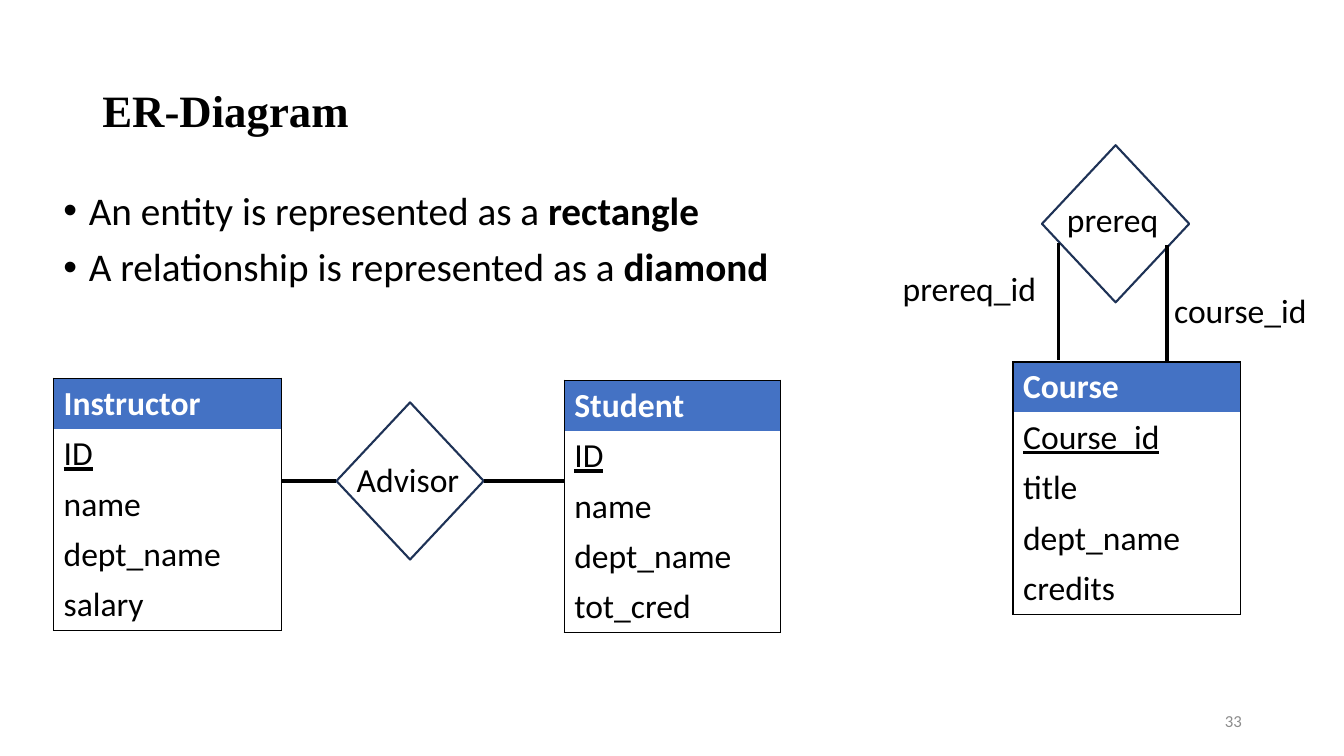
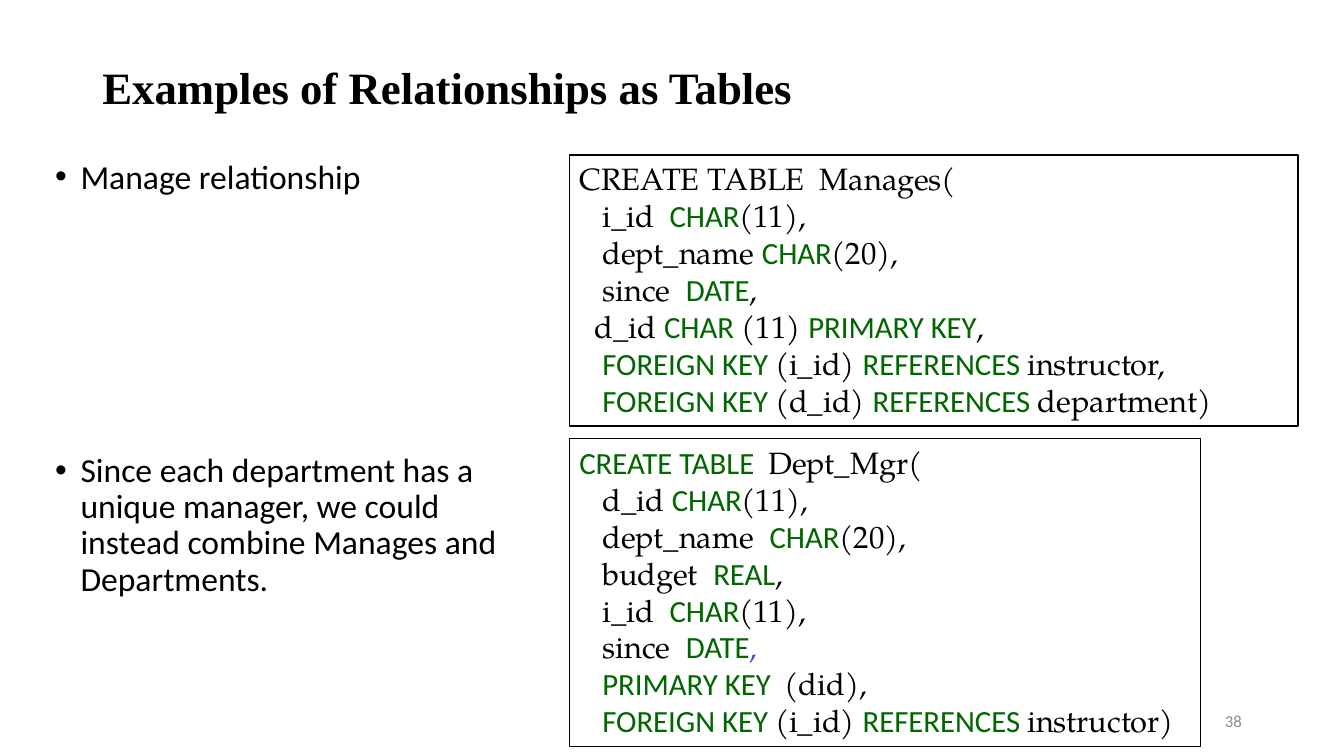
from dataclasses import dataclass

from lxml import etree
from pptx import Presentation
from pptx import util as u
from pptx.dml.color import RGBColor
from pptx.enum import shapes, text
from pptx.oxml import ns


@dataclass(frozen=True)
class Theme:
    black: str = "000000"
    white: str = "FFFFFF"
    header: str = "4472C4"
    diamond: str = "1E3256"
    keyword: str = "006600"
    accent: str = "434FD6"
    page: str = "8C8C8C"
    title_font: str = "Times New Roman"
    body_font: str = "Calibri"
    code_font: str = "TeX Gyre Pagella"
    title_size: int = 32
    large_size: int = 28
    body_size: int = 24
    code_size: int = 22
    page_size: int = 12
    thin: float = 1
    outline: float = 1.5
    link: float = 2.25


T = Theme()


@dataclass(frozen=True)
class Style:
    size: int = T.body_size
    font: str = T.body_font
    color: str = T.black
    bold: bool = False
    underline: bool = False


BODY = Style()
LARGE = Style(size=T.large_size)
STRONG = Style(size=T.large_size, bold=True)
TITLE = Style(T.title_size, T.title_font, bold=True)
PAGE = Style(T.page_size, color=T.page)
HEAD = Style(color=T.white, bold=True)
KEY = Style(underline=True)
CODE = Style(T.code_size, T.code_font)
KEYWORD = Style(T.code_size, color=T.keyword)
ACCENT = Style(T.code_size, T.code_font, T.accent)


def kw(words):
    return words, KEYWORD


def rgb(value):
    return RGBColor.from_string(value)


def add_run(p, words, style):
    r = p.add_run()
    r.text = words
    r.font.size = u.Pt(style.size)
    r.font.name = style.font
    r.font.color.rgb = rgb(style.color)
    r.font.bold = style.bold
    r.font.underline = style.underline


def add_bullet(p):
    pPr = p._p.get_or_add_pPr()
    pPr.set("marL", str(u.Cm(0.64)))
    pPr.set("indent", str(-u.Cm(0.64)))
    etree.SubElement(pPr, ns.qn("a:buFont"), typeface="Arial")
    etree.SubElement(pPr, ns.qn("a:buChar"), char="•")


def write(tf, paragraphs, style, bullets=False, spacing=None, align=text.PP_ALIGN.LEFT):
    tf.word_wrap = True
    for i, runs in enumerate(paragraphs):
        p = tf.add_paragraph() if i else tf.paragraphs[0]
        p.alignment = align
        if spacing:
            p.line_spacing = spacing
        if bullets:
            if i:
                p.space_before = u.Pt(10)
            add_bullet(p)
        for item in runs:
            words, run_style = (item, style) if isinstance(item, str) else item
            add_run(p, words, run_style)


def add_text(s, box, paragraphs, style, middle=False, **options):
    tf = s.shapes.add_textbox(*map(u.Cm, box)).text_frame
    if middle:
        tf.vertical_anchor = text.MSO_ANCHOR.MIDDLE
    write(tf, paragraphs, style, **options)


def add_label(s, x, y, words, width=4.17):
    add_text(s, (x, y, width, 1.27), [[words]], BODY)


def add_bullets(s, box, paragraphs, style=BODY):
    add_text(s, box, paragraphs, style, bullets=True, spacing=0.9)


def add_slide(prs, title, title_top, number):
    s = prs.slides.add_slide(prs.slide_layouts[6])
    add_text(s, (2.33, title_top, 29.21, 3.68), [[title]], TITLE, middle=True, spacing=0.9)
    add_text(s, (23.93, 17.65, 7.62, 1.02), [[str(number)]], PAGE,
             middle=True, align=text.PP_ALIGN.RIGHT)
    return s


def add_outlined(s, kind, box, color, width):
    sp = s.shapes.add_shape(kind, *map(u.Cm, box))
    sp.shadow.inherit = False
    sp.fill.background()
    sp.line.color.rgb = rgb(color)
    sp.line.width = u.Pt(width)
    return sp


def add_diamond(s, x, y):
    return add_outlined(s, shapes.MSO_SHAPE.DIAMOND, (x, y, 3.71, 3.96), T.diamond, T.outline)


def add_code(s, box, lines):
    sp = add_outlined(s, shapes.MSO_SHAPE.RECTANGLE, box, T.black, T.thin)
    sp.text_frame.vertical_anchor = text.MSO_ANCHOR.TOP
    write(sp.text_frame, lines, CODE)


def add_link(s, x1, y1, x2, y2):
    c = s.shapes.add_connector(shapes.MSO_CONNECTOR.STRAIGHT, *map(u.Cm, (x1, y1, x2, y2)))
    c.line.color.rgb = rgb(T.black)
    c.line.width = u.Pt(T.link)
    etree.SubElement(c._element.spPr, ns.qn("a:effectLst"))
    return c


def set_borders(cell, sides):
    tcPr = cell._tc.get_or_add_tcPr()
    for side in "LRTB":
        shown = side in sides
        ln = etree.SubElement(tcPr, ns.qn(f"a:ln{side}"), w=str(u.Pt(T.thin) if shown else 0))
        fill = etree.SubElement(ln, ns.qn("a:solidFill" if shown else "a:noFill"))
        if shown:
            etree.SubElement(fill, ns.qn("a:srgbClr"), val=T.black)


def add_entity(s, x, y, width, name, key, *fields):
    rows = [(name, HEAD), (key, KEY)] + [(field, BODY) for field in fields]
    size = map(u.Cm, (x, y, width, 1.27 * len(rows)))
    table = s.shapes.add_table(len(rows), 1, *size).table
    table.horz_banding = False
    for i, row in enumerate(rows):
        cell = table.cell(i, 0)
        set_borders(cell, "LR" + "T" * (i == 0) + "B" * (i == len(rows) - 1))
        if i:
            cell.fill.background()
        else:
            cell.fill.solid()
            cell.fill.fore_color.rgb = rgb(T.header)
        write(cell.text_frame, [[row]], BODY)


def build_diagram(prs):
    s = add_slide(prs, "ER-Diagram", 1.02, 33)
    add_bullets(s, (1.35, 4.7, 22, 4), [
        ["An entity is represented as a ", ("rectangle", STRONG)],
        ["A relationship is represented as a ", ("diamond", STRONG)],
    ], LARGE)

    add_entity(s, 14.22, 9.58, 5.44, "Student", "ID", "name", "dept_name", "tot_cred")
    add_entity(s, 1.35, 9.53, 5.74, "Instructor", "ID", "name", "dept_name", "salary")
    add_entity(s, 25.53, 9.12, 5.74, "Course", "Course_id", "title", "dept_name", "credits")

    advisor = add_diamond(s, 8.48, 10.14)
    add_label(s, 8.74, 11.43, "Advisor", 3.33)
    add_link(s, 14.22, 12.12, 12.19, 12.12).end_connect(advisor, 3)
    add_link(s, 7.09, 12.12, 8.48, 12.12).end_connect(advisor, 1)

    add_diamond(s, 26.26, 3.66)
    add_label(s, 26.64, 4.9, "prereq", 3.33)
    add_link(s, 29.41, 6.17, 29.41, 9.12)
    add_link(s, 26.67, 6.12, 26.67, 9.07)
    add_label(s, 22.5, 6.63, "prereq_id")
    add_label(s, 29.34, 7.19, "course_id")


def build_examples(prs):
    s = add_slide(prs, "Examples of Relationships as Tables", 0.43, 38)
    add_bullets(s, (1.14, 3.91, 12.78, 5.74), [["Manage relationship"]])
    add_bullets(s, (1.14, 11.3, 12.78, 5.74), [[
        "Since each department has a unique manager, we could instead combine "
        "Manages and Departments."]])

    add_code(s, (14.35, 3.91, 18.36, 6.83), [
        ["CREATE TABLE  Manages("],
        ["   i_id  ", kw("CHAR"), "(11),"],
        ["   dept_name ", kw("CHAR"), "(20),"],
        ["   since  ", kw("DATE"), ","],
        ["  d_id ", kw("CHAR"), " (11) ", kw("PRIMARY KEY"), ","],
        ["   ", kw("FOREIGN KEY "), "(i_id) ", kw("REFERENCES "), "instructor,"],
        ["   ", kw("FOREIGN KEY "), "(d_id) ", kw("REFERENCES"), " department)"],
    ])
    add_code(s, (14.35, 11.05, 15.9, 7.77), [
        [kw("CREATE TABLE  "), "Dept_Mgr("],
        ["   d_id ", kw("CHAR"), "(11),"],
        ["   dept_name  ", kw("CHAR"), "(20),"],
        ["   budget  ", kw("REAL"), ","],
        ["   i_id  ", kw("CHAR"), "(11),"],
        ["   since  ", kw("DATE"), (",", ACCENT)],
        ["   ", kw("PRIMARY KEY  "), "(did),"],
        ["   ", kw("FOREIGN KEY "), "(i_id) ", kw("REFERENCES "), "instructor)"],
    ])


def main():
    prs = Presentation()
    prs.slide_width = u.Cm(33.87)
    prs.slide_height = u.Cm(19.05)
    build_diagram(prs)
    build_examples(prs)
    prs.save("out.pptx")


if __name__ == "__main__":
    main()
